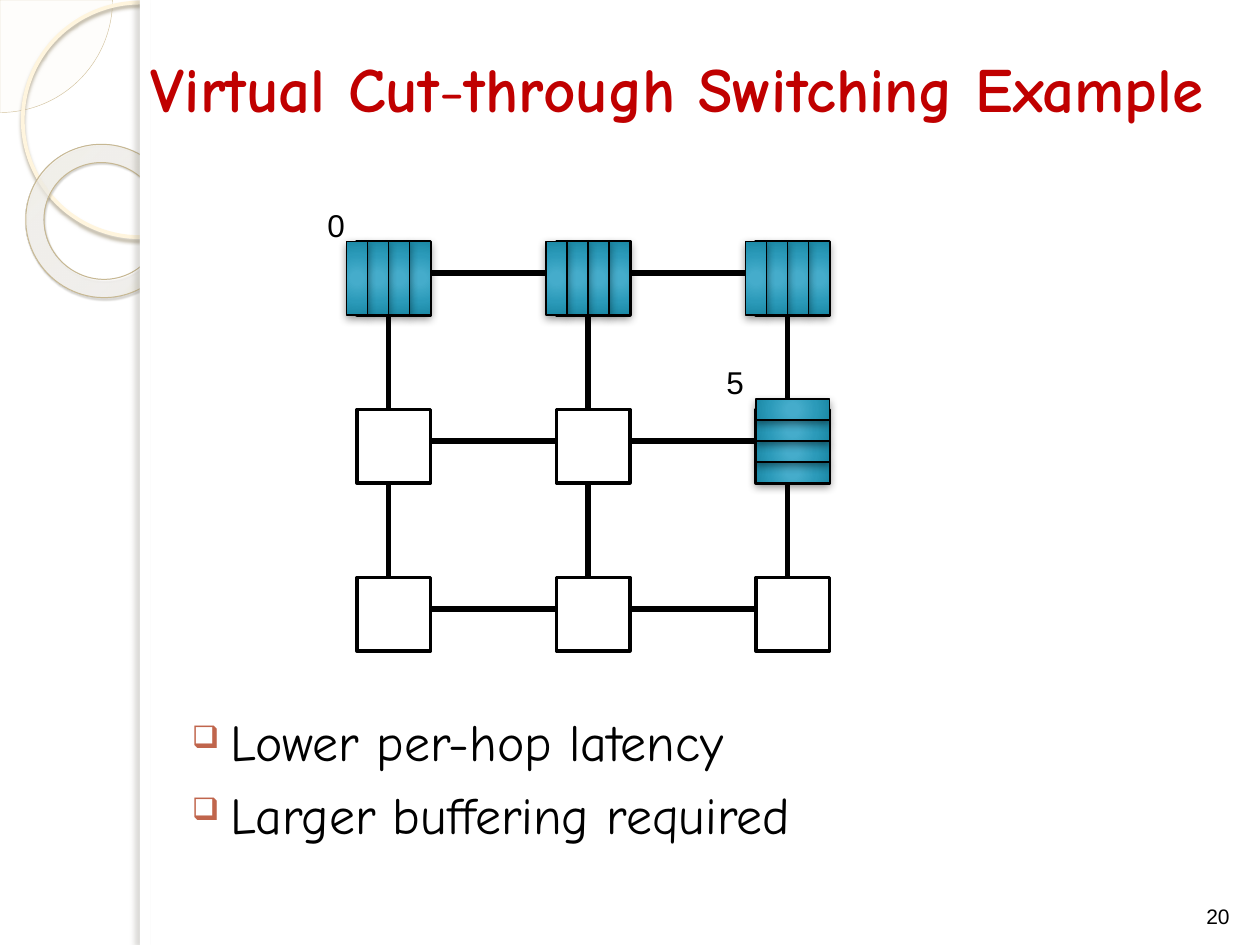
from lxml import etree
from pptx import Presentation
from pptx import util as u
from pptx.dml.color import RGBColor
from pptx.enum import shapes, text
from pptx.oxml import ns

Pt = u.Pt
SHAPE = shapes.MSO_SHAPE
COLORS = {
    "black": "000000", "white": "FFFFFF", "title": "C00000", "bullet": "C0654C",
    "pie": "FEFAF4", "pie line": "D3C39F", "ring": "FFF5DE", "ring shadow": "B0A68F",
    "donut line": "C7B893", "donut shadow": "5A5444", "panel shadow": "736F63",
}
FLIT_STOPS = [(0, "45ACCC", 100), (15, "45ACCB", 100), (62, "2B9AB9", 100),
              (97, "1C8AA7", 100), (100, "0E89A7", 100)]
DONUT_STOPS = [(0, "FFFCF6", 70), (70, "FFFEFB", 55), (100, "F0D28E", 60)]
NODE, FLIT, LINK_OFFSET = 42, 12, 18
COLUMN_STEP, ROW_STEP = 114, 96


def rgb(name):
    """Return the named colour."""
    return RGBColor.from_string(COLORS[name])


def add_xml(parent, tag, **attributes):
    """Append a DrawingML element and return it."""
    return etree.SubElement(parent, ns.qn(f"a:{tag}"),
                            {key: str(value) for key, value in attributes.items()})


def add_color(parent, value, alpha):
    """Append a colour with an opacity in percent."""
    add_xml(add_xml(parent, "srgbClr", val=value), "alpha", val=alpha * 1000)


def add_shape(slide, kind, box, fill=None, line=None, width=1):
    """Add a preset shape with a plain fill and outline."""
    shape = slide.shapes.add_shape(kind, *map(Pt, box))
    shape.shadow.inherit = False
    if fill:
        shape.fill.solid()
        shape.fill.fore_color.rgb = rgb(fill)
    else:
        shape.fill.background()
    if line:
        shape.line.color.rgb = rgb(line)
        shape.line.width = Pt(width)
    else:
        shape.line.fill.background()
    return shape


def set_gradient(shape, stops, rectangle):
    """Replace the empty fill of a shape by a circular gradient."""
    properties = shape.element.spPr
    gradient = etree.Element(ns.qn("a:gradFill"), rotWithShape="1")
    stop_list = add_xml(gradient, "gsLst")
    for position, color, alpha in stops:
        add_color(add_xml(stop_list, "gs", pos=position * 1000), color, alpha)
    sides = {side: value * 1000 for side, value in zip("ltrb", rectangle)}
    add_xml(add_xml(gradient, "path", path="circle"), "fillToRect", **sides)
    properties.replace(properties.find(ns.qn("a:noFill")), gradient)


def set_shadow(shape, color, alpha, blur, distance, angle):
    """Give a shape an outer shadow."""
    effects = shape.element.spPr.find(ns.qn("a:effectLst"))
    shadow = add_xml(effects, "outerShdw", blurRad=Pt(blur), dist=Pt(distance),
                     dir=angle * 60000, algn="tl", rotWithShape=0)
    add_color(shadow, COLORS[color], alpha)


def add_run(paragraph, words, size, font, color="black", bold=None):
    """Add one formatted run."""
    run = paragraph.add_run()
    run.text = words
    run.font.size = Pt(size)
    run.font.name = font
    run.font.color.rgb = rgb(color)
    run.font.bold = bold


def add_text_box(slide, box):
    """Add a wrapping text box and return its frame."""
    frame = slide.shapes.add_textbox(*map(Pt, box)).text_frame
    frame.word_wrap = True
    return frame


def add_side_band(slide, left, top, width, height):
    """Draw the ornament on the left and the white panel beside it."""
    pie = add_shape(slide, SHAPE.PIE, (left - 64.3, top - 64.3, 128.6, 128.6),
                    "pie", "pie line", 0.25)
    pie.adjustments[0], pie.adjustments[1] = 0, 54.02
    add_xml(pie.element.spPr.find(ns.qn("a:solidFill"))[0], "alpha", val=33000)

    ring = add_shape(slide, SHAPE.OVAL, (left + 13, top + 1.5, 134, 134),
                     line="ring", width=2.15)
    set_shadow(ring, "ring shadow", 85, 2, 2, 90)

    donut = add_shape(slide, SHAPE.DONUT, (left + 14.4, top + 82.8, 88.6, 87),
                      line="donut line", width=0.58)
    donut.adjustments[0] = 0.12
    donut.rotation = 38.6
    set_gradient(donut, DONUT_STOPS, (-408, -50, 508, 150))
    set_shadow(donut, "donut shadow", 35, 1, 1.2, 75)

    add_shape(slide, SHAPE.RECTANGLE, (left + 80, top, width - 80, height), "white")
    edge = add_shape(slide, SHAPE.RECTANGLE, (left + 80, top, 5.8, height), "white")
    set_shadow(edge, "panel shadow", 25, 3, 3, 180)


def add_link(slide, *ends):
    """Draw a thick line between two points."""
    link = slide.shapes.add_connector(shapes.MSO_CONNECTOR.STRAIGHT, *map(Pt, ends))
    link.line.color.rgb = rgb("black")
    link.line.width = Pt(3)
    add_xml(link.element.spPr, "effectLst")


def add_packet(slide, left, top, vertical=False):
    """Draw four flits that end at the far side of a node."""
    for index in reversed(range(4)):
        shift = NODE - (4 - index) * FLIT
        box = ((left, top + shift, NODE, FLIT) if vertical
               else (left + shift, top, FLIT, NODE))
        flit = add_shape(slide, SHAPE.RECTANGLE, box, line="black", width=0.75)
        set_gradient(flit, FLIT_STOPS, (50, 50, 50, 50))
        set_shadow(flit, "black", 43, 5, 2, 90)


def add_mesh(slide, left, top):
    """Draw the three by three mesh with its labels and packets."""
    columns = [left + COLUMN_STEP * index for index in range(3)]
    rows = [top + ROW_STEP * index for index in range(3)]
    for y in rows:
        for x in columns:
            add_shape(slide, SHAPE.RECTANGLE, (x, y, NODE, NODE), line="black", width=2)
    for y in rows:
        for x, next_x in zip(columns, columns[1:]):
            add_link(slide, x + NODE, y + LINK_OFFSET, next_x, y + LINK_OFFSET)
    for x in columns:
        for y, next_y in zip(rows, rows[1:]):
            add_link(slide, x + LINK_OFFSET, y + NODE, x + LINK_OFFSET, next_y)
    for label, x, y in (("0", columns[0], rows[0]), ("5", columns[2], rows[1] - 6)):
        frame = add_text_box(slide, (x - 24, y - 24, 54, 36))
        add_run(frame.paragraphs[0], label, 18, "Arial")
    for x in columns:
        add_packet(slide, x, top)
    add_packet(slide, columns[2], rows[1], vertical=True)


def add_bullets(slide, box, lines):
    """Write the list with square bullets."""
    frame = add_text_box(slide, box)
    for index, line in enumerate(lines):
        paragraph = frame.add_paragraph() if index else frame.paragraphs[0]
        properties = paragraph._p.get_or_add_pPr()
        properties.set("marL", str(Pt(28.8)))
        properties.set("indent", str(Pt(-22.3)))
        add_xml(add_xml(properties, "buClr"), "srgbClr", val=COLORS["bullet"])
        add_xml(properties, "buSzPct", val=60000)
        add_xml(properties, "buChar", char="❑")
        if index:
            paragraph.space_before = Pt(6)
        add_run(paragraph, line, 29.6, "Comic Neue")


def set_title(slide, left, top, width, height):
    """Place the title in front of the panel and write it."""
    title = slide.shapes.title
    title.element.getparent().append(title.element)
    title.left, title.top, title.width, title.height = map(Pt, (left, top, width, height))
    frame = title.text_frame
    frame.auto_size = text.MSO_AUTO_SIZE.NONE
    frame.vertical_anchor = text.MSO_ANCHOR.MIDDLE
    paragraph = frame.paragraphs[0]
    paragraph.alignment = text.PP_ALIGN.CENTER
    for words, bold in (("Virtual Cut", True), ("-", False),
                        ("through Switching Example", True)):
        add_run(paragraph, words, 36, "Comic Neue", "title", bold)


def add_page_number(slide, box, number):
    """Write the page number at the bottom of its box."""
    frame = add_text_box(slide, box)
    frame.vertical_anchor = text.MSO_ANCHOR.BOTTOM
    frame.paragraphs[0].alignment = text.PP_ALIGN.CENTER
    add_run(frame.paragraphs[0], number, 12, "Arial")


def main():
    """Build the slide and save it."""
    presentation = Presentation()
    presentation.slide_width, presentation.slide_height = Pt(720), Pt(540)
    slide = presentation.slides.add_slide(presentation.slide_layouts[5])
    add_side_band(slide, 0, 0, 720, 540)
    add_bullets(slide, (96, 402, 588, 80.6),
                ("Lower per-hop latency", "Larger buffering required"))
    add_mesh(slide, 204, 138)
    set_title(slide, 54, 0, 666, 99.4)
    add_page_number(slide, (678, 497, 36, 37.4), "20")
    presentation.save("out.pptx")


if __name__ == "__main__":
    main()
